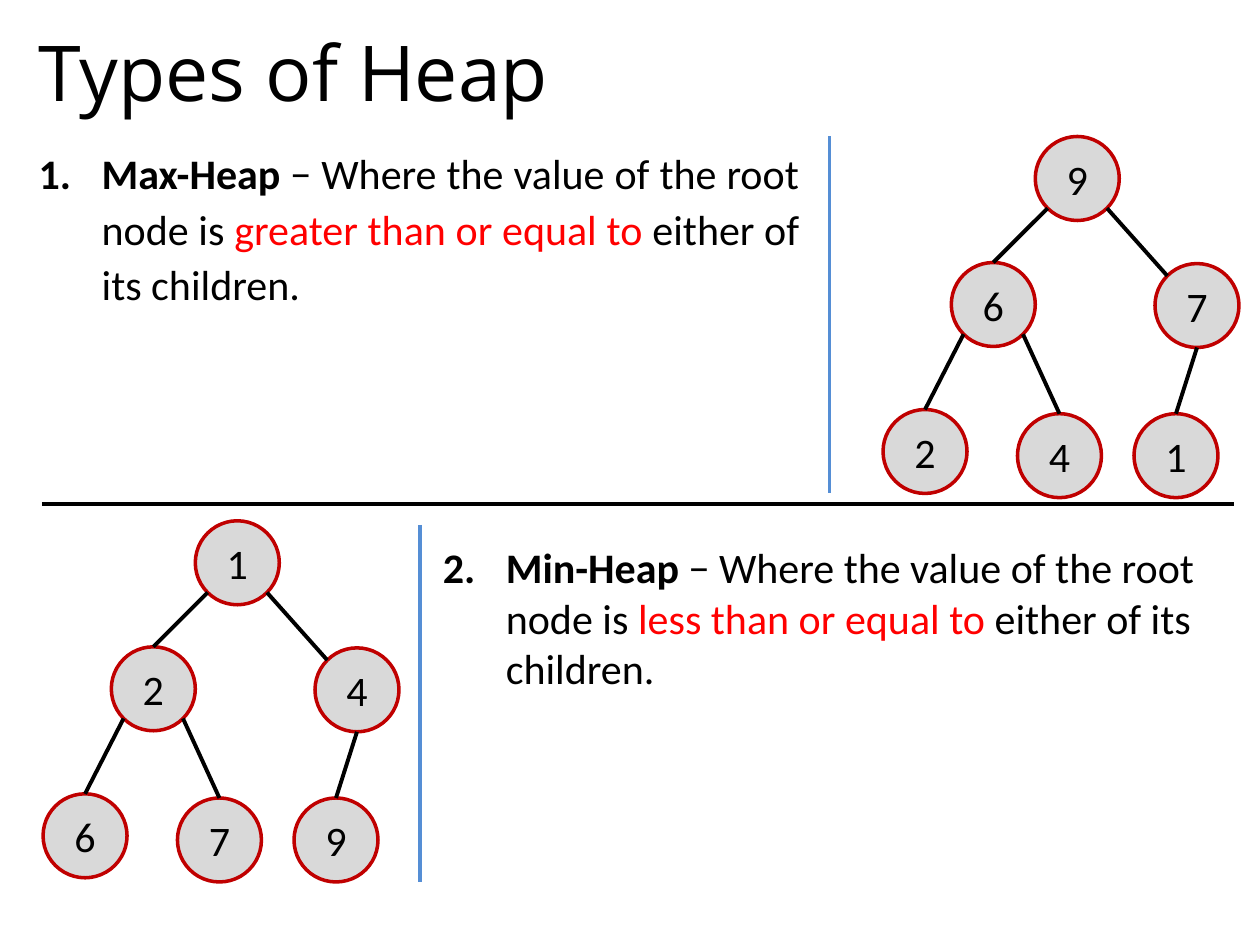
from math import cos, radians, sin

from lxml.etree import SubElement
from pptx import Presentation
from pptx.dml.color import RGBColor
from pptx.enum.shapes import MSO_CONNECTOR, MSO_SHAPE
from pptx.enum.text import MSO_ANCHOR, MSO_AUTO_SIZE, PP_ALIGN
from pptx.oxml.ns import qn
from pptx.util import Inches, Pt

BLACK = RGBColor(0x00, 0x00, 0x00)
RED = RGBColor(0xFF, 0x00, 0x00)
DARK_RED = RGBColor(0xC0, 0x00, 0x00)
GREY = RGBColor(0xD9, 0xD9, 0xD9)
BLUE = RGBColor(0x55, 0x8E, 0xD5)

deck = Presentation()
deck.slide_width, deck.slide_height = Inches(10), Inches(7.5)
page = deck.slides.add_slide(deck.slide_layouts[5])
shapes = page.shapes

# All places are in cells of a grid of 120 columns by 90 rows
CELL = deck.slide_width / 120


def write(para, text, **changes):
    span = para.add_run()
    span.text = text
    look = {"name": "Calibri", "size": Pt(24), "bold": False, **changes}
    color = look.pop("color", BLACK)
    for key, value in look.items():
        setattr(span.font, key, value)
    span.font.color.rgb = color


def draw_line(start, end, color=BLACK):
    ends = [round(value * CELL) for value in (*start, *end)]
    line = shapes.add_connector(MSO_CONNECTOR.STRAIGHT, *ends)
    line.line.color.rgb = color
    line.line.width = Pt(2.25)
    SubElement(line._element.spPr, qn("a:effectLst"))


# Title
title = shapes.title
title_place = {"left": 2.5, "top": 1.5, "width": 115, "height": 10.5}
for key, value in title_place.items():
    setattr(title, key, round(value * CELL))
title.text_frame.auto_size = MSO_AUTO_SIZE.NONE
title.text_frame.vertical_anchor = MSO_ANCHOR.MIDDLE
title_para = title.text_frame.paragraphs[0]
title_para.alignment = PP_ALIGN.LEFT
write(title_para, "Types of Heap", name="Open Sans", size=Pt(44))

# Numbered definitions
definitions = [
    (1, "Max-Heap", "greater than or equal to ", (2.5, 13, 74.8, 32),
     {"alignment": PP_ALIGN.JUSTIFY, "line_spacing": 1.1, "space_after": Pt(6)}),
    (2, "Min-Heap", "less than or equal to ", (41, 51, 76.6, 20.6),
     {"alignment": PP_ALIGN.LEFT}),
]
for number, name, relation, place, layout in definitions:
    box = shapes.add_textbox(*[round(value * CELL) for value in place])
    box.text_frame.word_wrap = True
    para = box.text_frame.paragraphs[0]
    for key, value in layout.items():
        setattr(para, key, value)
    properties = para._p.get_or_add_pPr()
    properties.set("marL", str(Inches(0.5)))
    properties.set("indent", str(-Inches(0.5)))
    SubElement(properties, qn("a:buFont"), typeface="+mj-lt")
    SubElement(properties, qn("a:buAutoNum"), type="arabicPeriod", startAt=str(number))
    write(para, name, bold=True)
    write(para, " − Where the value of the root node is ")
    write(para, relation, color=RED)
    write(para, "either of its children.")

# Dividers
draw_line((4, 48), (117.5, 48))
draw_line((79, 13), (79, 47), BLUE)
draw_line((40, 50), (40, 84), BLUE)

# Trees share one layout: node corners, then edges as
# (parent, angle on parent, child, angle on child), clockwise from the right
DIAMETER = 8
NODES = [(14.5, 0), (6.5, 12), (25.9, 12.1), (0, 26), (12.8, 26.4), (23.9, 26.4)]
EDGES = [(0, 135, 1, 270), (0, 45, 2, 225), (1, 135, 3, 270),
         (1, 45, 4, 270), (2, 90, 5, 270)]
trees = [((84.1, 13), "967241"), ((4.1, 49.6), "124679")]

for (left, top), values in trees:
    corners = [(left + x, top + y) for x, y in NODES]
    for (x, y), value in zip(corners, values):
        place = [round(part * CELL) for part in (x, y, DIAMETER, DIAMETER)]
        node = shapes.add_shape(MSO_SHAPE.OVAL, *place)
        node.shadow.inherit = False
        node.fill.solid()
        node.fill.fore_color.rgb = GREY
        node.line.color.rgb = DARK_RED
        node.line.width = Pt(2)
        node.text_frame.vertical_anchor = MSO_ANCHOR.MIDDLE
        para = node.text_frame.paragraphs[0]
        para.alignment = PP_ALIGN.CENTER
        write(para, value)

    radius = DIAMETER / 2
    for parent, parent_angle, child, child_angle in EDGES:
        ends = [(corners[index][0] + radius * (1 + cos(radians(angle))),
                 corners[index][1] + radius * (1 + sin(radians(angle))))
                for index, angle in ((parent, parent_angle), (child, child_angle))]
        draw_line(*ends)

deck.save("out.pptx")
